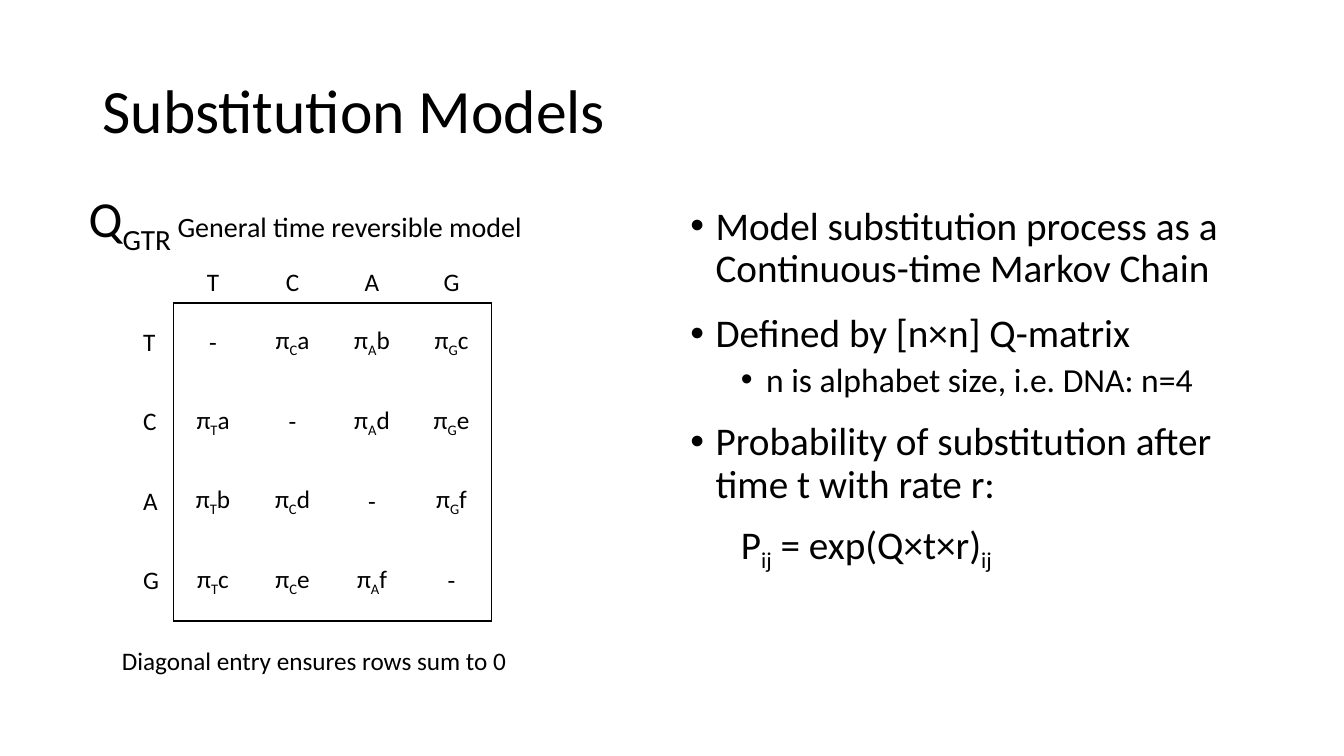
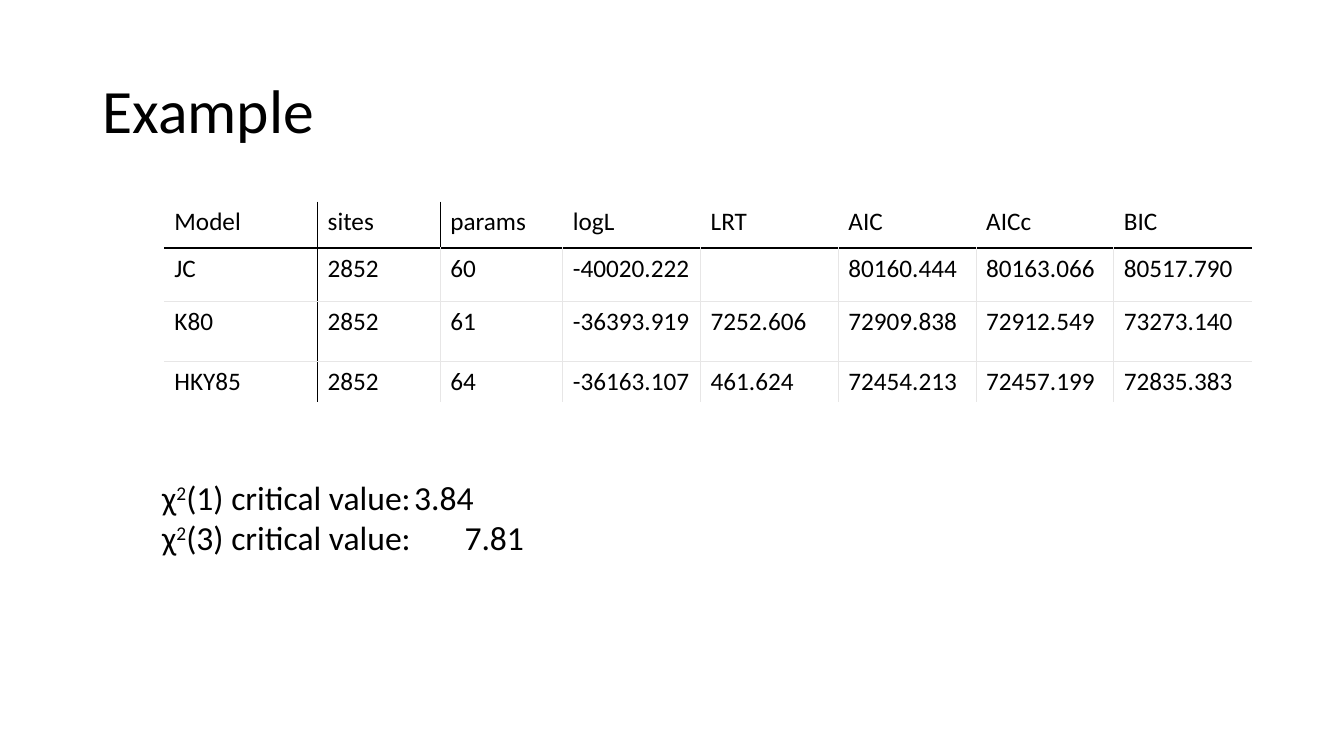
"""Build two slides on substitution models and their comparison."""
from itertools import combinations

from lxml import etree
from pptx import Presentation
from pptx.dml.color import RGBColor
from pptx.enum import text as t
from pptx.oxml import ns
from pptx.util import Pt

COLORS = {"ink": "000000", "rule": "E7E6E6"}
FONT = "Calibri"
TITLE_BOX = (66, 28.8, 828, 104.4)
LAYOUTS = {"title and body": 1, "title only": 5}


def add_text(paragraph, text, size=18, shift=-25, align=t.PP_ALIGN.LEFT,
             spacing=1.0, before=0, after=0):
    """Add text to a paragraph, raising or lowering the parts between bars."""
    paragraph.alignment = align
    paragraph.line_spacing = spacing
    paragraph.space_before, paragraph.space_after = Pt(before), Pt(after)
    for index, piece in enumerate(text.split("|")):
        if not piece:
            continue
        run = paragraph.add_run()
        run.text = piece
        run.font.name, run.font.size = FONT, Pt(size)
        run.font.color.rgb = RGBColor.from_string(COLORS["ink"])
        if index % 2:
            run._r.get_or_add_rPr().set("baseline", str(shift * 1000))


def set_bullet(paragraph, indent, hanging):
    """Set the indent in points, with a bullet if there is a hanging part."""
    properties = paragraph._p.get_or_add_pPr()
    properties.set("marL", str(Pt(indent)))
    properties.set("indent", str(-Pt(hanging)))
    if hanging:
        etree.SubElement(properties, ns.qn("a:buFont"), typeface="Arial")
        etree.SubElement(properties, ns.qn("a:buChar"), char="•")
    else:
        etree.SubElement(properties, ns.qn("a:buNone"))


def set_border(cell, side, color):
    """Draw one side of a cell, or clear it if there is no colour."""
    line = etree.SubElement(cell._tc.get_or_add_tcPr(), ns.qn(f"a:ln{side}"),
                            w=str(Pt(1)))
    if color:
        fill = etree.SubElement(line, ns.qn("a:solidFill"))
        etree.SubElement(fill, ns.qn("a:srgbClr"), val=COLORS[color])
    else:
        etree.SubElement(line, ns.qn("a:noFill"))


class Deck:
    """Hold the presentation, its style and the current slide."""

    def __init__(self):
        """Start a wide presentation."""
        self.presentation = Presentation()
        self.presentation.slide_width = Pt(960)
        self.presentation.slide_height = Pt(540)
        self.slide = None

    def place(self, shape, box):
        """Move a placeholder to a box and return its text frame."""
        shape.left, shape.top, shape.width, shape.height = map(Pt, box)
        frame = shape.text_frame
        frame.word_wrap = True
        frame.auto_size = t.MSO_AUTO_SIZE.NONE
        return frame

    def start(self, title, layout):
        """Add a slide with its title."""
        layouts = self.presentation.slide_layouts
        self.slide = self.presentation.slides.add_slide(layouts[LAYOUTS[layout]])
        frame = self.place(self.slide.shapes.title, TITLE_BOX)
        frame.vertical_anchor = t.MSO_ANCHOR.MIDDLE
        add_text(frame.paragraphs[0], title, size=44, spacing=0.9)

    def body(self, box, items):
        """Fill the body from (text, size, indent, hanging, before, after)."""
        frame = self.place(self.slide.placeholders[1], box)
        for index, (text, size, indent, hanging, before, after) in enumerate(items):
            paragraph = frame.add_paragraph() if index else frame.paragraphs[0]
            add_text(paragraph, text, size=size, spacing=0.9,
                     before=before, after=after)
            set_bullet(paragraph, indent, hanging)

    def label(self, box, lines, **style):
        """Add a text box, each line a list of (text, size) parts."""
        frame = self.slide.shapes.add_textbox(*map(Pt, box)).text_frame
        frame.word_wrap = True
        frame.auto_size = t.MSO_AUTO_SIZE.SHAPE_TO_FIT_TEXT
        for index, parts in enumerate(lines):
            paragraph = frame.add_paragraph() if index else frame.paragraphs[0]
            for text, size in parts:
                add_text(paragraph, text, size=size, **style)

    def table(self, corner, widths, heights, rows, vertical, horizontal,
              anchor=t.MSO_ANCHOR.TOP, align=lambda column: t.PP_ALIGN.LEFT):
        """Add a table whose grid lines follow two colour rules."""
        frame = self.slide.shapes.add_table(
            len(rows), len(widths), *map(Pt, (*corner, sum(widths), sum(heights))))
        table = frame.table
        table.first_row = table.horz_banding = False
        for column, width in zip(table.columns, widths):
            column.width = Pt(width)
        for row, height in zip(table.rows, heights):
            row.height = Pt(height)
        for r, values in enumerate(rows):
            for c, value in enumerate(values):
                cell = table.cell(r, c)
                set_border(cell, "L", vertical(r, c))
                set_border(cell, "R", vertical(r, c + 1))
                set_border(cell, "T", horizontal(r, c))
                set_border(cell, "B", horizontal(r + 1, c))
                cell.fill.background()
                cell.vertical_anchor = anchor
                add_text(cell.text_frame.paragraphs[0], value, align=align(c))


def matrix_rows(bases="TCAG", rates="abcdef"):
    """Return the rate matrix with its row and column headings."""
    rate = {frozenset(pair): name
            for pair, name in zip(combinations(bases, 2), rates)}
    rows = [["", *bases]]
    for source in bases:
        rows.append([source] + [
            "-" if source == target
            else f"π|{target}|{rate[frozenset((source, target))]}"
            for target in bases])
    return rows


def build_models(deck):
    """Build the slide on substitution models."""
    deck.start("Substitution Models", "title and body")
    deck.body((486, 144, 408, 342.7), [
        ("Model substitution process as a Continuous-time Markov Chain",
         28, 18, 18, 10, 6),
        ("Defined by [n×n] Q-matrix", 28, 18, 18, 10, 0),
        ("n is alphabet size, i.e. DNA: n=4", 24, 54, 18, 5, 6),
        ("Probability of substitution after time t with rate r:",
         28, 18, 18, 10, 0),
        ("\tP|ij| = exp(Q×t×r)|ij|", 28, 0, 0, 10, 0),
    ])

    def frame_line(line, across):
        return "ink" if line in (1, 5) and across else ""

    deck.table((95, 187.2), [28.8] + [56.8] * 4, [28.8] + [56.8] * 4,
               matrix_rows(),
               vertical=lambda row, line: frame_line(line, row),
               horizontal=lambda line, column: frame_line(line, column),
               anchor=t.MSO_ANCHOR.MIDDLE,
               align=lambda column: t.PP_ALIGN.CENTER if column else t.PP_ALIGN.LEFT)
    deck.label((56.2, 130.3, 450.7, 51),
               [[("Q|GTR |", 36), ("General time reversible model", 20)]])
    deck.label((80, 457.2, 357, 29),
               [[("Diagonal entry ensures rows sum to 0", 18)]])


def build_example(deck):
    """Build the slide that compares fitted models."""
    deck.start("Example", "title only")

    def vertical(row, line):
        if line == 1 or (row == 0 and line == 2):
            return "ink"
        return "rule" if row and 1 < line < 8 else ""

    def horizontal(line, column):
        return {1: "ink", 2: "rule", 3: "rule"}.get(line, "")

    deck.table((117.4, 144), [109.5] + [87.6] * 2 + [98.4] * 5,
               [33.2, 37.9, 43.2, 29], [
        ["Model", "sites", "params", "logL", "LRT", "AIC", "AICc", "BIC"],
        ["JC", "2852", "60", "-40020.222", "",
         "80160.444", "80163.066", "80517.790"],
        ["K80", "2852", "61", "-36393.919", "7252.606",
         "72909.838", "72912.549", "73273.140"],
        ["HKY85", "2852", "64", "-36163.107", "461.624",
         "72454.213", "72457.199", "72835.383"],
    ], vertical, horizontal)
    deck.label((108.7, 337, 522, 94.3),
               [[("χ|2|(1) critical value:\t3.84", 24)],
                [("χ|2|(3) critical value: \t7.81", 24)]], shift=30)


def main():
    """Build and save the presentation."""
    deck = Deck()
    build_models(deck)
    build_example(deck)
    deck.presentation.save("out.pptx")


if __name__ == "__main__":
    main()
